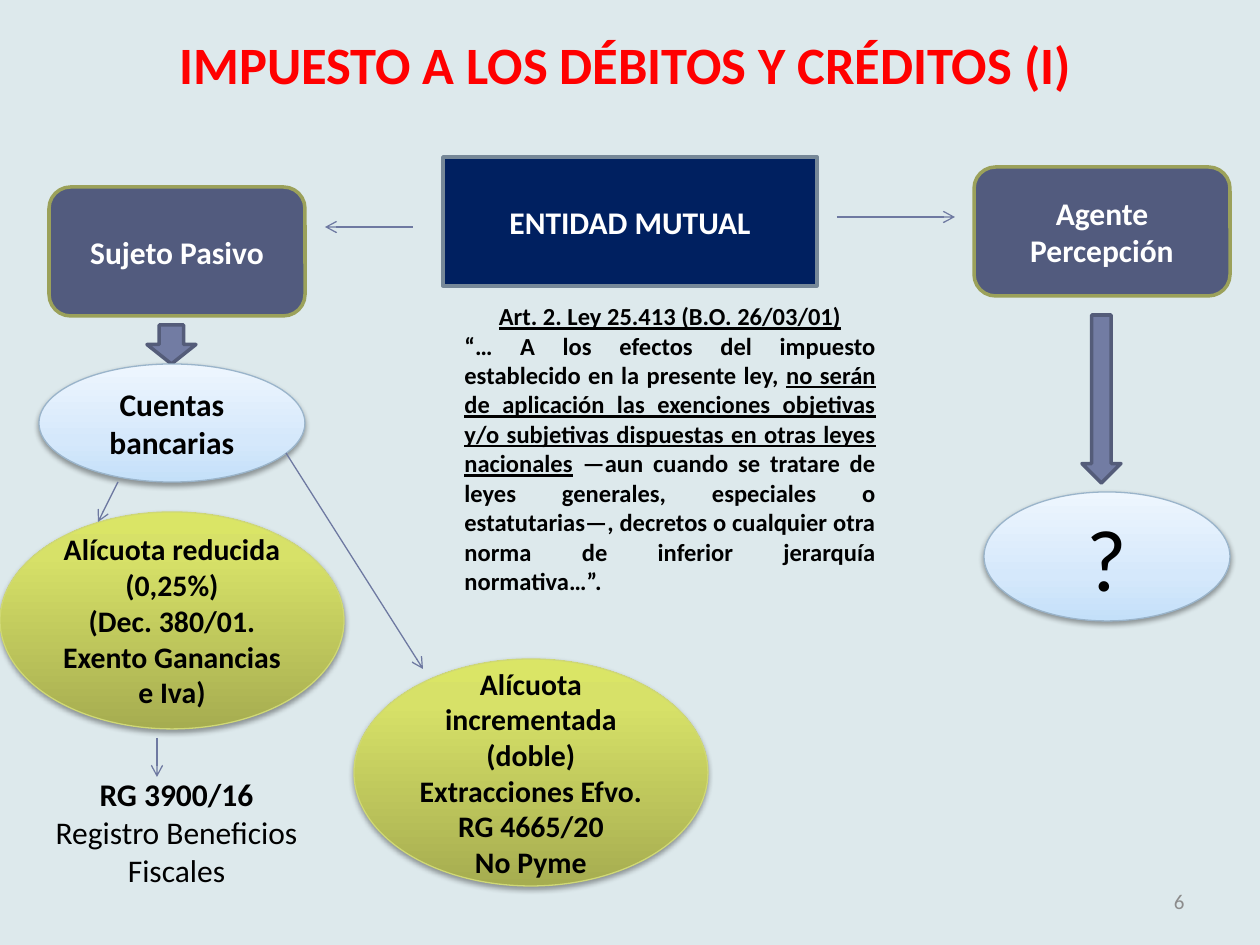
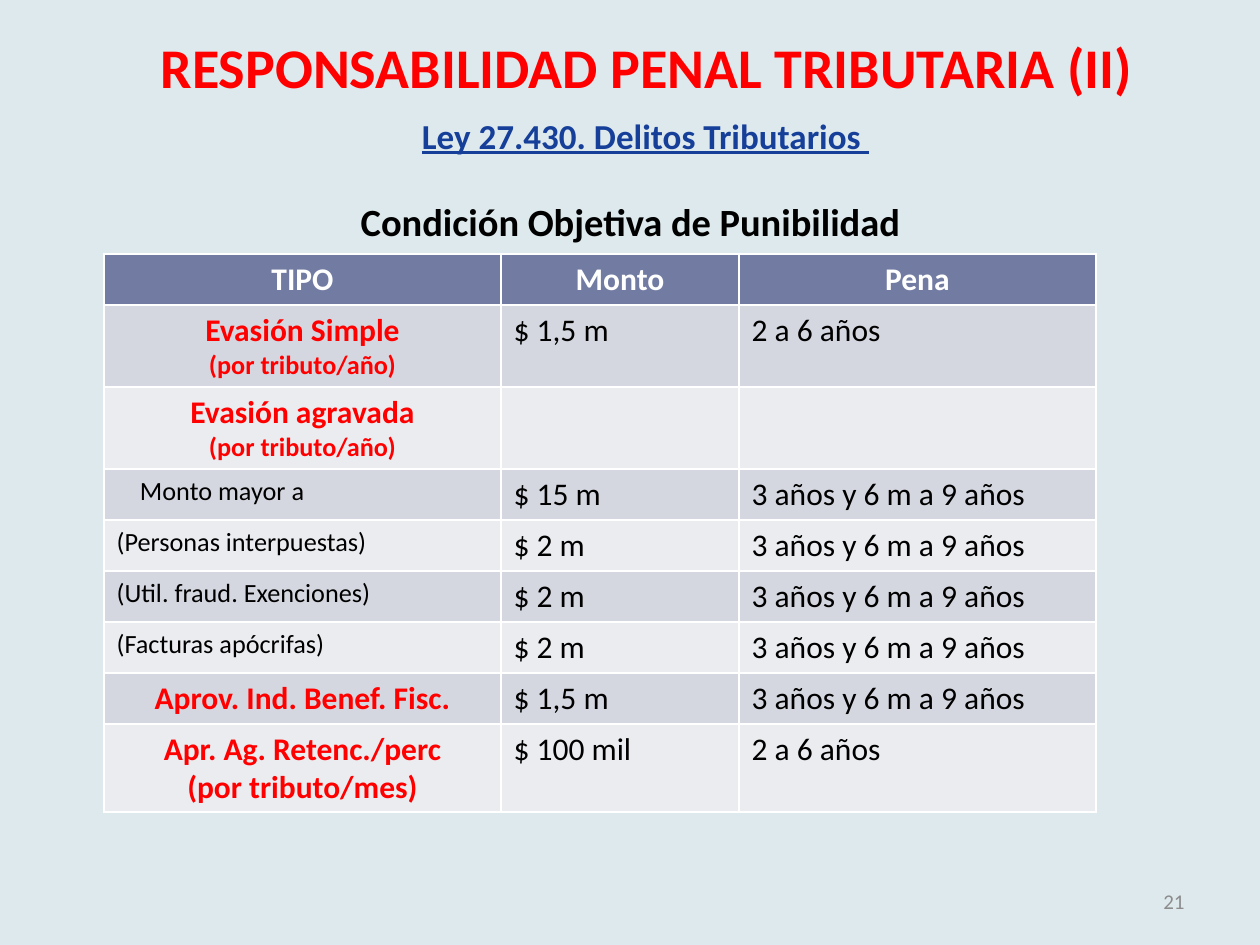
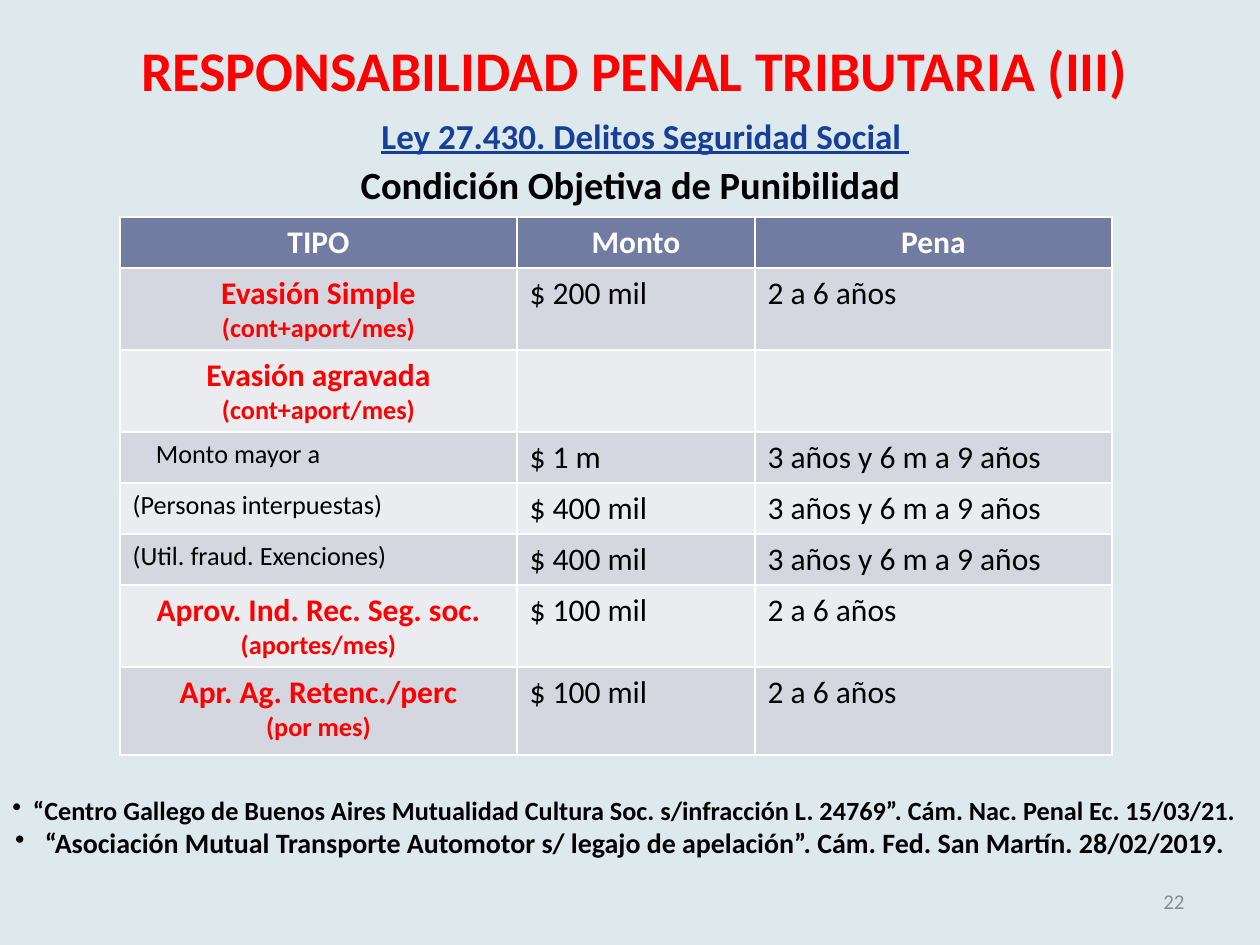
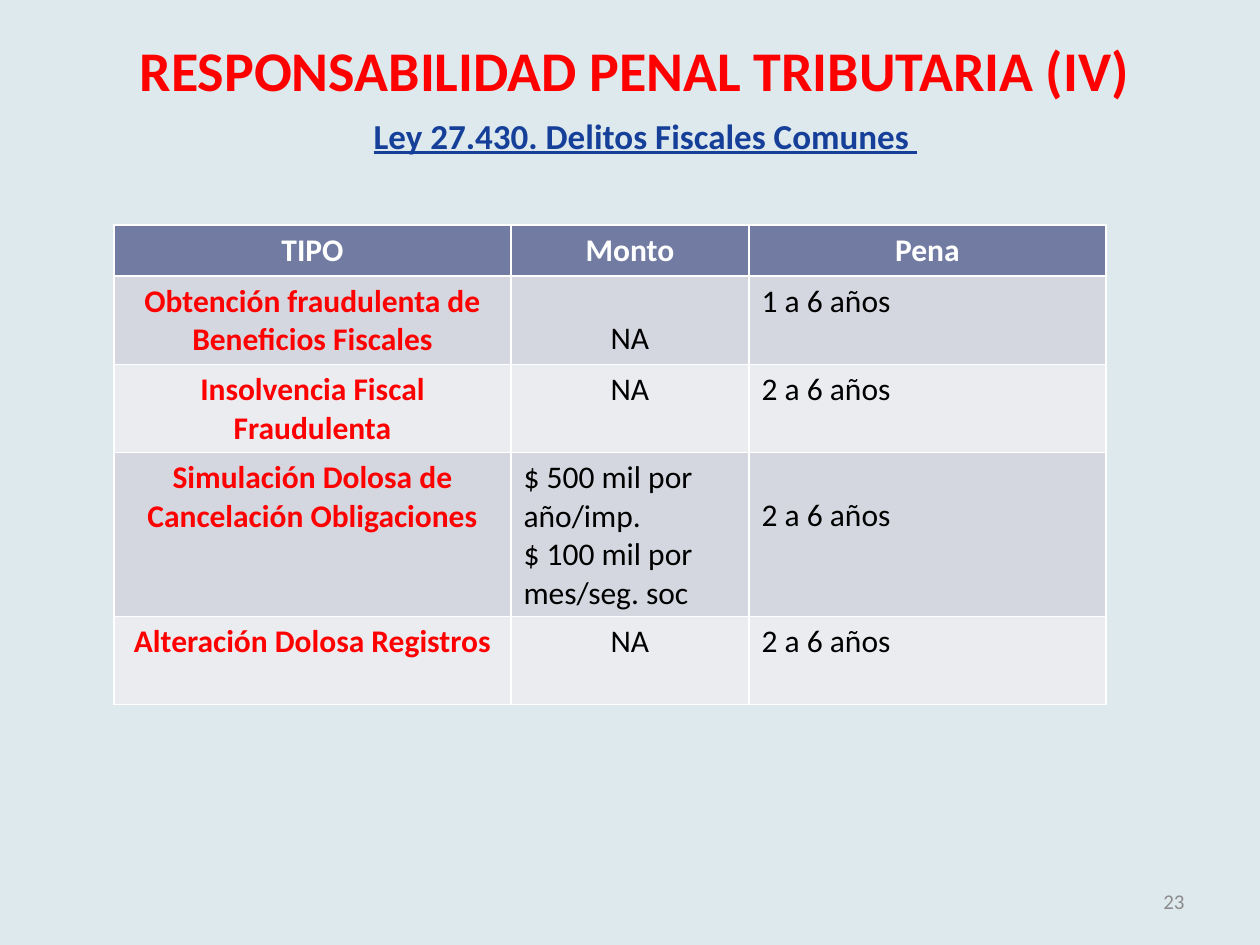
from pptx import Presentation
from pptx.dml.color import RGBColor
from pptx.enum.shapes import MSO_CONNECTOR, MSO_SHAPE as SHAPE
from pptx.enum.text import MSO_ANCHOR as ANCHOR, MSO_AUTO_SIZE, PP_ALIGN as ALIGN
from pptx.oxml import parse_xml
from pptx.oxml.ns import nsdecls, qn
from pptx.util import Emu, Pt
from lxml.etree import SubElement

# Shared look
COLORS = {
    "background": "DDE9EC", "title": "FF0000", "subtitle": "163F9A",
    "black": "000000", "white": "FFFFFF", "number": "8C8C8C",
    "navy": "002060", "navy line": "768898", "slate": "525B7E", "olive": "9BA15A",
    "accent": "727CA3", "accent line": "545C79", "arrow": "6E79A1",
    "odd row": "D5D7E0", "even row": "EBECF0",
    "blue line": "9AB4CA", "green line": "CFD875",
}
RGB = {name: RGBColor.from_string(value) for name, value in COLORS.items()}
GRADIENTS = {
    "blue": [(0, "C4E0F9"), (35, "D5E8FB"), (100, "EEF6FE")],
    "green": [(0, "A6AD50"), (80, "D7E168"), (100, "DAE566")],
}
BASE_FONT = {"name": "Calibri", "size": Pt(18), "bold": True, "color": "black"}
SMALL = {"size": Pt(15)}
PLAIN = {"bold": False}
UNDERLINED = {"underline": True}


def px(length):
    return Emu(round(length * 914400 / 126))


def write(frame, paragraphs, align=ALIGN.CENTER, **style):
    """Fill a frame; a paragraph is a string or a list of (text, changes)."""
    frame.word_wrap = True
    for index, spans in enumerate(paragraphs):
        para = frame.add_paragraph() if index else frame.paragraphs[0]
        para.alignment = align
        for text, changes in [(spans, {})] if isinstance(spans, str) else spans:
            span = para.add_run()
            span.text = text
            for key, value in {**BASE_FONT, **style, **changes}.items():
                if key == "color":
                    span.font.color.rgb = RGB[value]
                else:
                    setattr(span.font, key, value)


deck = Presentation()
deck.slide_width, deck.slide_height = px(1260), px(945)
backdrop = deck.slide_master.background.fill
backdrop.solid()
backdrop.fore_color.rgb = RGB["background"]

# Titles, subtitles and page numbers: text, size, place, subtitle, number
PAGES = [
    ("IMPUESTO A LOS DÉBITOS Y CRÉDITOS (I)", 30, (20, 26, 1211, 77), None, "6"),
    ("RESPONSABILIDAD PENAL TRIBUTARIA (II)", 32, (39, 26, 1216, 81),
     "Ley 27.430. Delitos Tributarios ", "21"),
    ("RESPONSABILIDAD PENAL TRIBUTARIA (III)", 32, (15, 29, 1240, 81),
     "Ley 27.430. Delitos Seguridad Social ", "22"),
    ("RESPONSABILIDAD PENAL TRIBUTARIA (IV)", 32, (15, 29, 1240, 81),
     "Ley 27.430. Delitos Fiscales Comunes ", "23"),
]
for title, size, place, subtitle, number in PAGES:
    page = deck.slides.add_slide(deck.slide_layouts[1 if subtitle else 5])
    headings = [(page.shapes.title, title, place, {"size": Pt(size), "color": "title"})]
    if subtitle:
        headings.append((page.placeholders[1], subtitle, (94, 108, 1103, 52),
                         {"size": Pt(20), "color": "subtitle", "underline": True}))
    for holder, text, spot, style in headings:
        holder.left, holder.top, holder.width, holder.height = map(px, spot)
        frame = holder.text_frame
        frame.auto_size = MSO_AUTO_SIZE.NONE
        frame.vertical_anchor = ANCHOR.TOP
        write(frame, [text], **style)
        para = frame.paragraphs[0]
        para.space_before = Pt(0)
        props = para._p.get_or_add_pPr()
        props.set("marL", "0")
        props.set("indent", "0")
        SubElement(props, qn("a:buNone"))
    box = page.shapes.add_textbox(*map(px, (903, 876, 294, 50)))
    box.text_frame.vertical_anchor = ANCHOR.MIDDLE
    write(box.text_frame, [number], ALIGN.RIGHT, size=Pt(12), bold=False, color="number")

# Slide 1: boxes and block arrows
diagram = deck.slides[0].shapes
BLOCKS = [
    (SHAPE.RECTANGLE, (443, 157, 374, 129), "navy", "navy line", "ENTIDAD MUTUAL"),
    (SHAPE.ROUNDED_RECTANGLE, (49, 187, 256, 129), "slate", "olive", "Sujeto Pasivo"),
    (SHAPE.ROUNDED_RECTANGLE, (974, 167, 256, 129), "slate", "olive", "Agente Percepción"),
    (SHAPE.DOWN_ARROW, (147, 325, 49, 39), "accent", "accent line", None),
    (SHAPE.DOWN_ARROW, (1082, 315, 39, 168), "accent", "accent line", None),
]
for kind, place, fill, line, text in BLOCKS:
    block = diagram.add_shape(kind, *map(px, place))
    block.shadow.inherit = False
    block.fill.solid()
    block.fill.fore_color.rgb = RGB[fill]
    block.line.color.rgb = RGB[line]
    block.line.width = Pt(2)
    if text:
        write(block.text_frame, [text], color="white")

# Slide 1: shaded ovals
OVALS = [
    ("blue", (39, 364, 266, 118), ["Cuentas bancarias"], {}),
    ("green", (354, 659, 354, 227),
     ["Alícuota incrementada (doble)", "Extracciones Efvo.", "RG 4665/20", "No Pyme"],
     {"size": Pt(17)}),
    ("green", (0, 512, 344, 217),
     ["Alícuota reducida (0,25%)", "(Dec. 380/01. Exento Ganancias e Iva)"],
     {"size": Pt(17)}),
    ("blue", (984, 492, 246, 129), ["?"], {"size": Pt(50), "bold": False}),
]
for tint, place, lines, style in OVALS:
    oval = diagram.add_shape(SHAPE.OVAL, *map(px, place))
    stops = "".join(f'<a:gs pos="{spot * 1000}"><a:srgbClr val="{color}"/></a:gs>'
                    for spot, color in GRADIENTS[tint])
    oval.element.spPr.find(qn("a:prstGeom")).addnext(parse_xml(
        f'<a:gradFill {nsdecls("a")}><a:gsLst>{stops}</a:gsLst>'
        '<a:lin ang="16200000" scaled="0"/></a:gradFill>'))
    oval.line.color.rgb = RGB[f"{tint} line"]
    oval.line.width = Pt(0.75)
    oval.shadow.inherit = False
    oval.element.spPr.find(qn("a:effectLst")).append(parse_xml(
        f'<a:outerShdw {nsdecls("a")} blurRad="39400" dist="21600" dir="5400000" rotWithShape="0">'
        '<a:srgbClr val="000000"><a:alpha val="37000"/></a:srgbClr></a:outerShdw>'))
    write(oval.text_frame, lines, **style)

# Slide 1: thin arrows
ARROWS = [
    (413, 227, 325, 227), (837, 217, 955, 217), (118, 482, 98, 522),
    (286, 453, 423, 669), (157, 738, 157, 777),
]
for ends in ARROWS:
    arrow = diagram.add_connector(MSO_CONNECTOR.STRAIGHT, *map(px, ends))
    arrow.line.color.rgb = RGB["arrow"]
    arrow.line.width = Pt(0.75)
    outline = arrow.element.spPr
    SubElement(outline.find(qn("a:ln")), qn("a:tailEnd"), type="arrow")
    SubElement(outline, qn("a:effectLst"))

# Slide 1: notes on the law
law = diagram.add_textbox(*map(px, (452, 295, 436, 335))).text_frame
write(law, [
    [("Art. 2. Ley 25.413 (B.O. 26/03/01)", UNDERLINED)],
    [("“… A los efectos del impuesto establecido en la presente ley, ", {}),
     ("no serán de aplicación las exenciones objetivas y/o subjetivas dispuestas "
      "en otras leyes nacionales", UNDERLINED),
     (" —aun cuando se tratare de leyes generales, especiales o estatutarias—, "
      "decretos o cualquier otra norma de inferior jerarquía normativa…”.", {})],
], size=Pt(14))
law.paragraphs[1].alignment = ALIGN.JUSTIFY
registry = diagram.add_textbox(*map(px, (29, 769, 295, 127))).text_frame
write(registry, ["RG 3900/16", [("Registro Beneficios Fiscales", PLAIN)]])

# Slides 2 to 4: tables, each row as height, offence, amount, penalty
LONG_TERM = "3 años y 6 m a 9 años"
SHORT_TERM = "2 a 6 años"
MINOR = {**SMALL, **PLAIN, "color": "black"}
OVER = [[("Monto mayor a", MINOR)]]
INTERMEDIARIES = [[("(Personas interpuestas)", MINOR)]]
EXEMPTIONS = [[("(Util. fraud. Exenciones)", MINOR)]]
INVOICES = [[("(Facturas apócrifas)", MINOR)]]
LOWERED = {(4, 1, 1), (4, 3, 2)}  # page, row, column of cells starting on the second line

TABLES = [
    (2, 104, 254, [
        (82, ["Evasión Simple", [("(por tributo/año)", SMALL)]], ["$ 1,5 m"], SHORT_TERM),
        (82, ["Evasión agravada", [("(por tributo/año)", SMALL)]], [], ""),
        (51, OVER, ["$ 15 m"], LONG_TERM),
        (51, INTERMEDIARIES, ["$ 2 m"], LONG_TERM),
        (51, EXEMPTIONS, ["$ 2 m"], LONG_TERM),
        (51, INVOICES, ["$ 2 m"], LONG_TERM),
        (51, ["Aprov. Ind. Benef. Fisc."], ["$ 1,5 m"], LONG_TERM),
        (88, ["Apr. Ag. Retenc./perc", "(por tributo/mes)"], ["$ 100 mil"], SHORT_TERM),
    ]),
    (3, 120, 217, [
        (82, ["Evasión Simple", [("(cont+aport/mes)", SMALL)]], ["$ 200 mil"], SHORT_TERM),
        (82, ["Evasión agravada", [("(cont+aport/mes)", SMALL)]], [], ""),
        (51, OVER, ["$ 1 m"], LONG_TERM),
        (51, INTERMEDIARIES, ["$ 400 mil"], LONG_TERM),
        (51, EXEMPTIONS, ["$ 400 mil"], LONG_TERM),
        (82, [[("Aprov. Ind. Rec. Seg. soc. ", {}), ("(aportes/mes)", SMALL)]],
         ["$ 100 mil"], SHORT_TERM),
        (88, ["Apr. Ag. Retenc./perc", [("(por mes)", SMALL)]], ["$ 100 mil"], SHORT_TERM),
    ]),
    (4, 114, 225, [
        (88, ["Obtención fraudulenta de Beneficios Fiscales"], ["NA"], "1 a 6 años"),
        (88, ["Insolvencia Fiscal Fraudulenta"], ["NA"], SHORT_TERM),
        (164, ["Simulación Dolosa de Cancelación Obligaciones"],
         ["$ 500 mil por año/imp.", "$ 100 mil por mes/seg. soc"], SHORT_TERM),
        (88, ["Alteración Dolosa Registros"], ["NA"], SHORT_TERM),
    ]),
]
for number, left, top, offences in TABLES:
    rows = [(51, ["TIPO"], ["Monto"], "Pena"), *offences]
    height = sum(row[0] for row in rows)
    table = deck.slides[number - 1].shapes.add_table(
        len(rows), 3, *map(px, (left, top, 992, height))).table
    for column, width in zip(table.columns, (397, 238, 357)):
        column.width = px(width)
    for r, (row_height, offence, amount, penalty) in enumerate(rows):
        table.rows[r].height = px(row_height)
        for c, lines in enumerate((offence, amount, [penalty] if penalty else [])):
            cell = table.cell(r, c)
            cell.fill.solid()
            band = "accent" if r == 0 else "odd row" if r % 2 else "even row"
            cell.fill.fore_color.rgb = RGB[band]
            minor = lines in (OVER, INTERMEDIARIES, EXEMPTIONS, INVOICES)
            centred = r == 0 or lines == ["NA"] or (c == 0 and not minor)
            if r == 0:
                style = {"color": "white"}
            else:
                style = {"color": "title"} if c == 0 else PLAIN
            if lines is OVER:
                cell.margin_left = px(36)
            if (number, r, c) in LOWERED:
                cell.margin_top = px(44)
            write(cell.text_frame, lines, ALIGN.CENTER if centred else ALIGN.LEFT, **style)

# Slides 2 and 3: table headings
for number, top in ((2, 192), (3, 155)):
    box = deck.slides[number - 1].shapes.add_textbox(*map(px, (20, top, 1221, 59)))
    write(box.text_frame, ["Condición Objetiva de Punibilidad"], size=Pt(22))

# Slide 3: court rulings
rulings = deck.slides[2].shapes.add_textbox(*map(px, (0, 788, 1260, 78))).text_frame
write(rulings, [
    [("“Centro Gallego de Buenos Aires Mutualidad Cultura Soc. s/infracción L. 24769”. "
      "Cám. Nac. Penal Ec. 15/03/21.", SMALL)],
    "“Asociación Mutual Transporte Automotor s/ legajo de apelación”. "
    "Cám. Fed. San Martín. 28/02/2019.",
], size=Pt(16))
for para in rulings.paragraphs:
    SubElement(para._p.get_or_add_pPr(), qn("a:buChar"), char="•")

deck.save("out.pptx")
